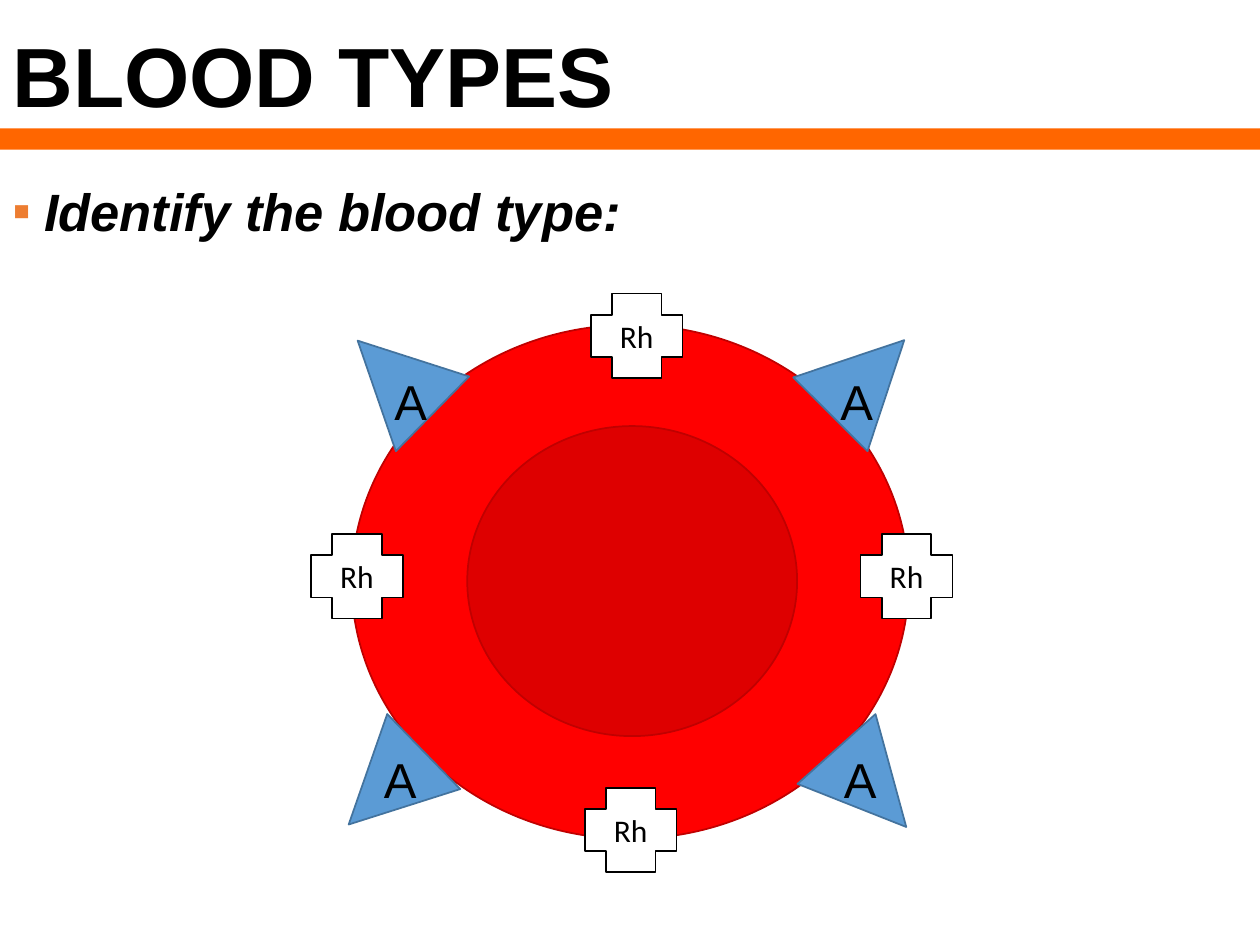
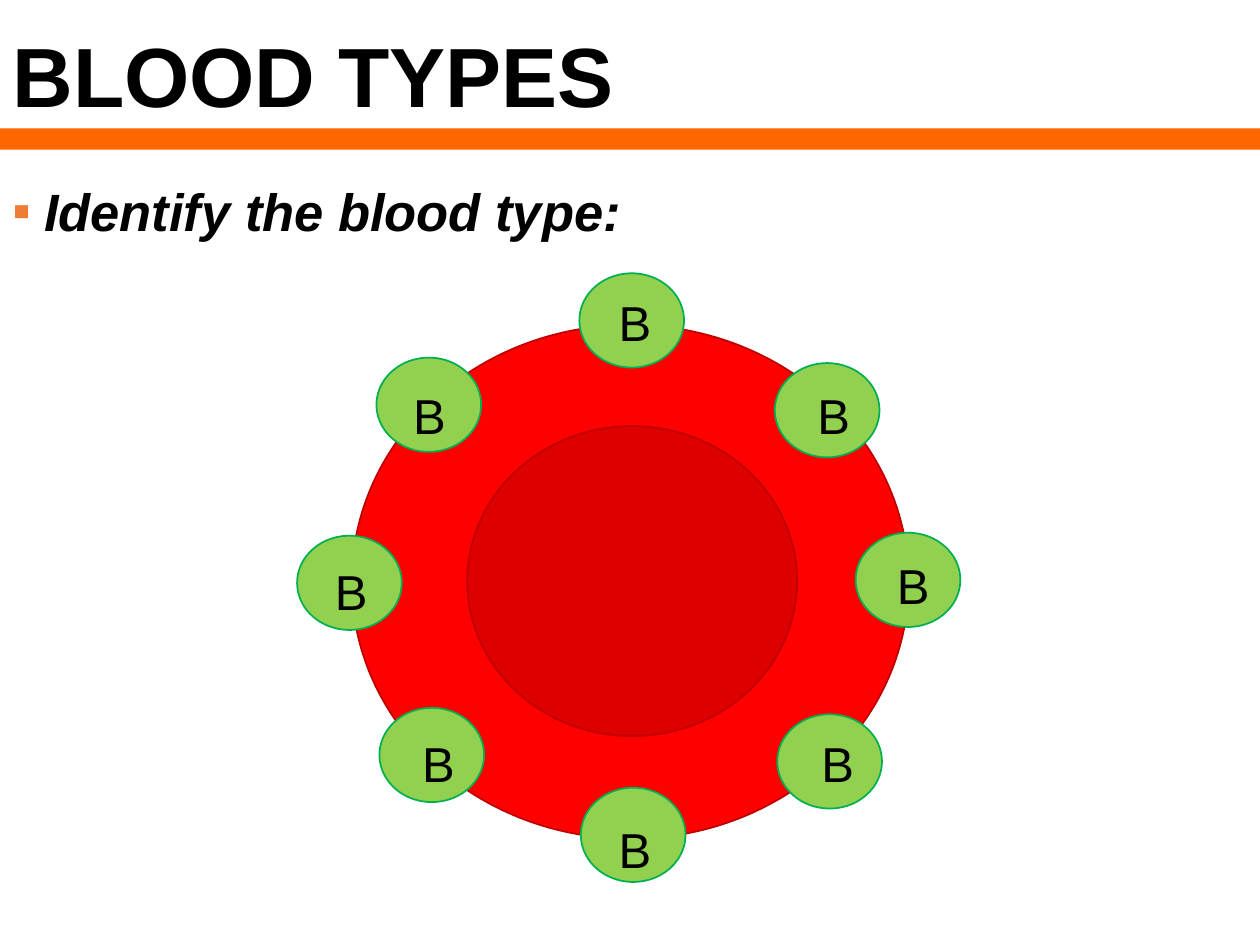
from dataclasses import dataclass

from lxml import etree
from pptx import Presentation
from pptx.dml.color import RGBColor
from pptx.enum.shapes import MSO_SHAPE
from pptx.enum.text import MSO_ANCHOR, MSO_AUTO_SIZE, PP_ALIGN
from pptx.oxml.ns import qn
from pptx.util import Cm, Pt

OVAL, RECT = MSO_SHAPE.OVAL, MSO_SHAPE.RECTANGLE
PLUS, TRIANGLE = MSO_SHAPE.CROSS, MSO_SHAPE.ISOSCELES_TRIANGLE
TOP, MIDDLE = MSO_ANCHOR.TOP, MSO_ANCHOR.MIDDLE
LEFT, CENTER = PP_ALIGN.LEFT, PP_ALIGN.CENTER

COLORS = {
    "text": "000000", "band": "FF6600", "bullet": "ED7D31",
    "cell": "FF0000", "cell_edge": "C00000",
    "a": "5B9BD5", "a_edge": "43739E",
    "b": "92D050", "b_edge": "00B050",
    "rh": "FFFFFF", "rh_edge": "000000",
}


@dataclass(frozen=True)
class Antigen:
    """Look shared by all markers of one antigen; sizes in cm."""
    kind: int
    width: float
    height: float
    color: str


@dataclass(frozen=True)
class Marker:
    """Place of one marker, and of its letter, in cm."""
    x: float
    y: float
    label_x: float
    label_y: float
    rotation: float = 0


ANTIGEN_A = Antigen(TRIANGLE, 2.11, 2.11, "a")
ANTIGEN_B = Antigen(OVAL, 2.11, 1.9, "b")
ANTIGEN_RH = Antigen(PLUS, 1.85, 1.7, "rh")

A_MARKERS = [
    Marker(16.51, 14.83, 16.76, 14.71, 138.2),
    Marker(6.91, 6.55, 7.7, 7.09, 314.4),
    Marker(16.43, 6.55, 16.69, 7.09, 44.9),
    Marker(6.73, 14.83, 7.49, 14.71, 225.8),
]
B_MARKERS = [
    Marker(11.68, 5.51, 12.22, 5.51),
    Marker(11.71, 15.88, 12.22, 16.13),
    Marker(17.25, 10.74, 17.83, 10.8),
    Marker(5.99, 10.8, 6.5, 10.92),
    Marker(7.59, 7.21, 8.08, 7.37),
    Marker(15.62, 7.32, 16.23, 7.37),
    Marker(7.65, 14.27, 8.26, 14.4),
    Marker(15.67, 14.4, 16.31, 14.4),
]
RH_PLACES = [(11.91, 5.92), (6.27, 10.77), (11.79, 15.88), (17.35, 10.77)]


def rgb(name: str) -> RGBColor:
    return RGBColor.from_string(COLORS[name])


def place(sp, x: float, y: float, w: float, h: float) -> None:
    sp.left, sp.top, sp.width, sp.height = Cm(x), Cm(y), Cm(w), Cm(h)


def add_bullet(p, char: str, color: str) -> None:
    pPr = p._p.get_or_add_pPr()
    pPr.set("marL", str(Cm(0.64)))
    pPr.set("indent", str(-Cm(0.64)))
    clr = etree.SubElement(pPr, qn("a:buClr"))
    etree.SubElement(clr, qn("a:srgbClr"), val=COLORS[color])
    etree.SubElement(pPr, qn("a:buFont"), typeface="Arial")
    etree.SubElement(pPr, qn("a:buChar"), char=char)


def set_text(sp, text: str, *, size: float, font: str = "Arial",
             bold: bool = False, italic: bool = False, align: int = LEFT,
             anchor: int = TOP, spacing: float = 1.0, bullet: str = "",
             wrap: bool = False, inset_x: float = 0.25,
             inset_y: float = 0.13) -> None:
    tf = sp.text_frame
    tf.auto_size, tf.word_wrap = MSO_AUTO_SIZE.NONE, wrap
    tf.vertical_anchor = anchor
    tf.margin_left = tf.margin_right = Cm(inset_x)
    tf.margin_top, tf.margin_bottom = Cm(inset_y), Cm(0.13)
    p = tf.paragraphs[0]
    if bullet:
        add_bullet(p, bullet, "bullet")
    p.alignment, p.line_spacing, p.space_before = align, spacing, Pt(0)
    r = p.add_run()
    r.text = text
    r.font.name, r.font.size = font, Pt(size)
    r.font.bold, r.font.italic = bold, italic
    r.font.color.rgb = rgb("text")


def add_shape(shapes, kind: int, x: float, y: float, w: float, h: float,
              fill: str, line: str = "", alpha: int = 100):
    sp = shapes.add_shape(kind, Cm(x), Cm(y), Cm(w), Cm(h))
    sp.shadow.inherit = False
    sp.fill.solid()
    sp.fill.fore_color.rgb = rgb(fill)
    if alpha < 100:
        clr = sp._element.spPr.find(qn("a:solidFill"))[0]
        etree.SubElement(clr, qn("a:alpha"), val=str(alpha * 1000))
    if line:
        sp.line.color.rgb = rgb(line)
        sp.line.width = Pt(1)
    else:
        sp.line.fill.background()
    return sp


def add_antigen(slide, antigen: Antigen, x: float, y: float):
    return add_shape(slide.shapes, antigen.kind, x, y, antigen.width,
                     antigen.height, antigen.color, f"{antigen.color}_edge")


def add_markers(slide, antigen: Antigen, letter: str,
                markers: list[Marker]) -> None:
    for m in markers:
        add_antigen(slide, antigen, m.x, m.y).rotation = m.rotation
    # Letters stay upright, above every marker
    for m in markers:
        box = slide.shapes.add_textbox(Cm(m.label_x), Cm(m.label_y),
                                       Cm(1.07), Cm(1.88))
        set_text(box, letter, size=28, spacing=1.14, inset_y=0.23)


def add_blood_slide(prs):
    """Title, question, band and red blood cell common to the slides."""
    slide = prs.slides.add_slide(prs.slide_layouts[1])
    title, body = slide.shapes.title, slide.placeholders[1]
    place(title, 0, 0.64, 22.86, 1.96)
    set_text(title, "BLOOD TYPES", size=48, bold=True, spacing=0.9,
             anchor=MIDDLE, wrap=True)
    place(body, 0, 3.18, 25.4, 2.74)
    set_text(body, "Identify the blood type:", size=30, bold=True,
             italic=True, spacing=1.14, bullet="▪", wrap=True, inset_y=0.25)
    add_shape(slide.shapes, RECT, 0, 2.59, 25.4, 0.43, "band")
    cell = slide.shapes.add_group_shape().shapes
    add_shape(cell, OVAL, 7.09, 6.55, 11.23, 10.36, "cell", "cell_edge")
    add_shape(cell, OVAL, 9.42, 8.59, 6.65, 6.25, "cell_edge", "cell_edge",
              alpha=52)
    return slide


def main() -> None:
    prs = Presentation()
    prs.slide_width, prs.slide_height = Cm(25.4), Cm(19.05)

    # A antigens with Rh factor
    slide = add_blood_slide(prs)
    for x, y in RH_PLACES:
        sp = add_antigen(slide, ANTIGEN_RH, x, y)
        set_text(sp, "Rh", size=18, font="Calibri", align=CENTER,
                 anchor=MIDDLE, inset_x=0)
    add_markers(slide, ANTIGEN_A, "A", A_MARKERS)

    # B antigens only
    slide = add_blood_slide(prs)
    add_markers(slide, ANTIGEN_B, "B", B_MARKERS)

    prs.save("out.pptx")


if __name__ == "__main__":
    main()
